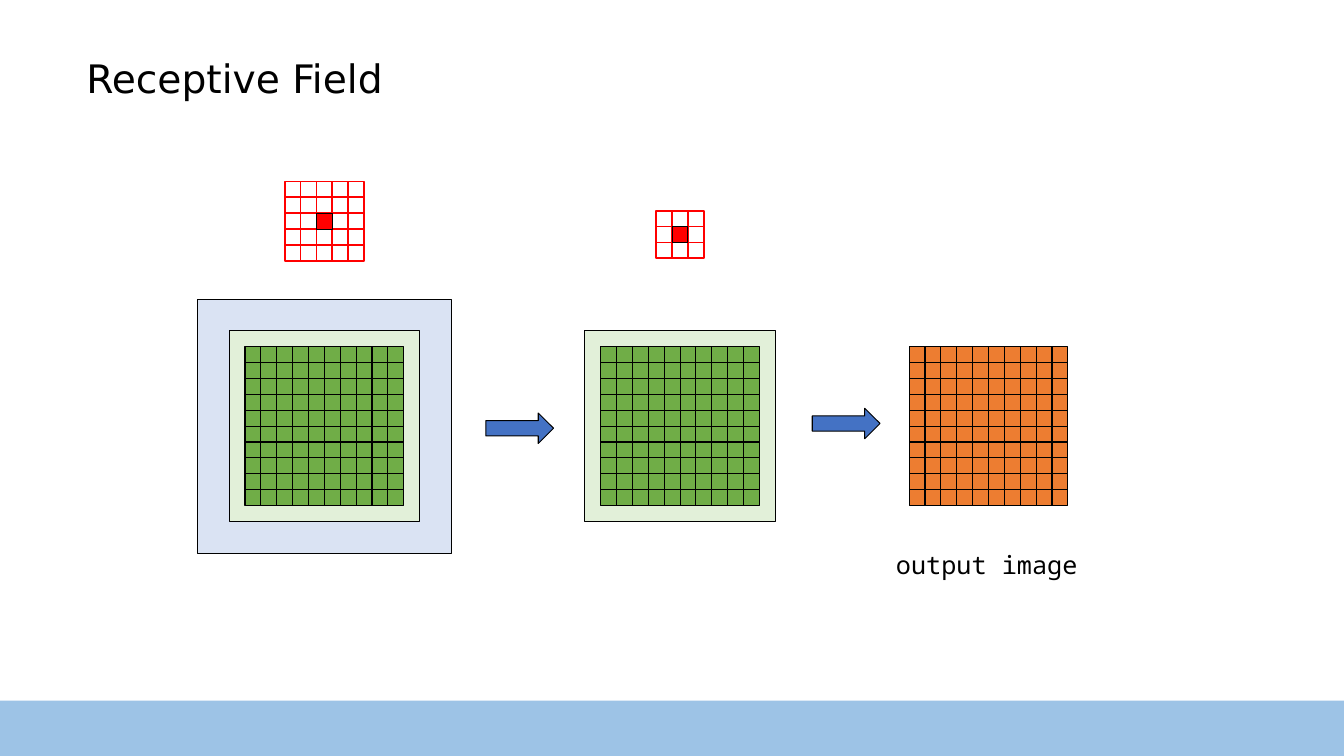
from lxml import etree
from pptx import Presentation
from pptx.dml.color import RGBColor
from pptx.enum.shapes import MSO_CONNECTOR, MSO_SHAPE
from pptx.enum.text import MSO_AUTO_SIZE
from pptx.oxml.ns import qn
from pptx.util import Pt

RECT, ARROW = MSO_SHAPE.RECTANGLE, MSO_SHAPE.RIGHT_ARROW
STRAIGHT = MSO_CONNECTOR.STRAIGHT
FIT_SHAPE = MSO_AUTO_SIZE.SHAPE_TO_FIT_TEXT
TOP, LEFT, BOTTOM, RIGHT = range(4)

BLACK = RGBColor(0x00, 0x00, 0x00)
RED = RGBColor(0xFF, 0x00, 0x00)
GREEN = RGBColor(0x70, 0xAD, 0x47)
PALE_GREEN = RGBColor(0xE2, 0xF0, 0xD9)
PALE_BLUE = RGBColor(0xDA, 0xE3, 0xF3)
ORANGE = RGBColor(0xED, 0x7D, 0x31)
ARROW_BLUE = RGBColor(0x44, 0x72, 0xC4)
FOOTER_BLUE = RGBColor(0x9D, 0xC3, 0xE6)

CELL = 11.34
IMAGE_Y = 304.4
INPUT_X, HIDDEN_X, OUTPUT_X = 231.7, 485.8, 706.1

prs = Presentation()
prs.slide_width, prs.slide_height = Pt(960), Pt(540)
slide = prs.slides.add_slide(prs.slide_layouts[6])


def add_block(shapes, kind, x, y, w, h, fill, line=BLACK, weight=0.75):
    block = shapes.add_shape(kind, Pt(x), Pt(y), Pt(w), Pt(h))
    block.shadow.inherit = False
    if fill is None:
        block.fill.background()
    else:
        block.fill.solid()
        block.fill.fore_color.rgb = fill
    if line is None:
        block.line.fill.background()
    else:
        block.line.color.rgb = line
        block.line.width = Pt(weight)
    return block


def add_grid(center_x, center_y, count, fill, color, weight):
    size = count * CELL
    x, y = center_x - size / 2, center_y - size / 2
    shapes = slide.shapes.add_group_shape().shapes
    frame = add_block(shapes, RECT, x, y, size, size, fill, color, weight)
    for i in range(1, count):
        step = i * CELL
        for start, end, sides in (
            ((x + step, y), (x + step, y + size), (TOP, BOTTOM)),
            ((x + size, y + step), (x, y + step), (RIGHT, LEFT)),
        ):
            rule = shapes.add_connector(STRAIGHT, *map(Pt, start + end))
            rule.line.color.rgb = color
            rule.line.width = Pt(weight)
            etree.SubElement(rule._element.spPr, qn("a:effectLst"))
            if 2 * i == count:
                rule.begin_connect(frame, sides[0])
                rule.end_connect(frame, sides[1])


# Footer band
add_block(slide.shapes, RECT, 0, 500.4, 960, 39.6, FOOTER_BLUE, None)

# Kernels, each with its centre cell filled
for center_x, center_y, count in ((INPUT_X, 158, 5), (HIDDEN_X, 167.5, 3)):
    add_grid(center_x, center_y, count, None, RED, 1.25)
    add_block(slide.shapes, RECT, center_x - CELL / 2, center_y - CELL / 2,
              CELL, CELL, RED)

# Receptive fields around the images, in cells
for center_x, count, fill in ((INPUT_X, 16, PALE_BLUE),
                              (INPUT_X, 12, PALE_GREEN),
                              (HIDDEN_X, 12, PALE_GREEN)):
    side = count * CELL
    add_block(slide.shapes, RECT, center_x - side / 2, IMAGE_Y - side / 2,
              side, side, fill)

# Images
for center_x, fill in ((INPUT_X, GREEN), (HIDDEN_X, GREEN), (OUTPUT_X, ORANGE)):
    add_grid(center_x, IMAGE_Y, 10, fill, BLACK, 0.75)

# Arrows between the images
for x, y in ((347, 295), (580.2, 291.6)):
    add_block(slide.shapes, ARROW, x, y, 48.4, 21.8, ARROW_BLUE)

# Title and output label
for text, x, y, w, h, size, font, wrap in (
    ("Receptive Field", 54.7, 35.3, 227.5, 41, 28, "DejaVu Sans", False),
    ("output image", 632.9, 388.8, 166.3, 36, 18, "Noto Sans Mono", True),
):
    frame = slide.shapes.add_textbox(Pt(x), Pt(y), Pt(w), Pt(h)).text_frame
    frame.word_wrap = wrap
    frame.auto_size = FIT_SHAPE
    paragraph = frame.paragraphs[0]
    paragraph.text = text
    paragraph.font.size = Pt(size)
    paragraph.font.name = font
    paragraph.font.color.rgb = BLACK

prs.save("out.pptx")
